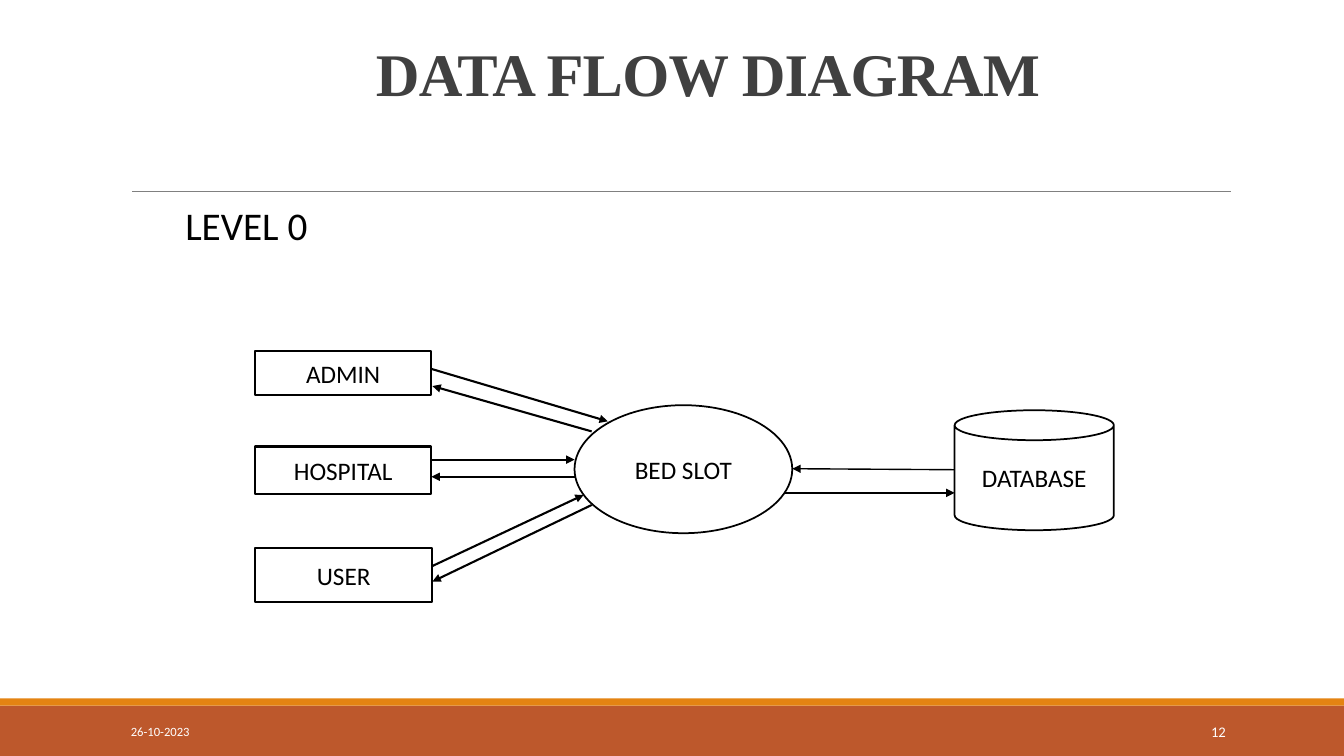
"""Build the level 0 data flow diagram slide on a grid of tenth-inch cells."""
from lxml import etree
from pptx import Presentation, util as u
from pptx.dml.color import RGBColor
from pptx.enum import shapes, text
from pptx.oxml.ns import qn

THEME = {
    "ink": "000000", "paper": "FFFFFF", "title": "404040", "rule": "808080",
    "footer": "BD582C", "stripe": "E48312",
    "body_font": "Calibri", "title_font": "Times New Roman",
    "title_size": 43.2, "level_size": 28, "node_size": 18,
    "date_size": 9, "number_size": 10.5,
}
COLUMNS, ROWS = 133.33, 75
CELL = u.Inches(0.1)
LEFT, CENTER, RIGHT = text.PP_ALIGN.LEFT, text.PP_ALIGN.CENTER, text.PP_ALIGN.RIGHT
TOP, MIDDLE, BOTTOM = text.MSO_ANCHOR.TOP, text.MSO_ANCHOR.MIDDLE, text.MSO_ANCHOR.BOTTOM


def cells(*counts):
    """Turn grid counts into lengths."""
    return [u.Emu(round(count * CELL)) for count in counts]


def write(shape, words, size, color="ink", align=LEFT, anchor=MIDDLE, font="body_font"):
    """Put one styled run into a shape and return it."""
    frame = shape.text_frame
    frame.word_wrap = True
    frame.vertical_anchor = anchor
    paragraph = frame.paragraphs[0]
    paragraph.alignment = align
    run = paragraph.add_run()
    run.text = words
    run.font.name = THEME[font]
    run.font.size = u.Pt(THEME[size])
    run.font.color.rgb = RGBColor.from_string(THEME[color])
    return run


presentation = Presentation()
presentation.slide_width, presentation.slide_height = cells(COLUMNS, ROWS)
slide = presentation.slides.add_slide(presentation.slide_layouts[6])

for top, height, color in [(70, 5, "footer"), (69.3, 0.7, "stripe")]:
    band = slide.shapes.add_shape(shapes.MSO_SHAPE.RECTANGLE, *cells(0, top, COLUMNS, height))
    band.shadow.inherit = False
    band.fill.solid()
    band.fill.fore_color.rgb = RGBColor.from_string(THEME[color])
    band.line.fill.background()

title = slide.shapes.add_textbox(*cells(9.2, 3.5, 115, 14.5))
title_run = write(title, "DATA FLOW DIAGRAM", "title_size", "title", anchor=BOTTOM, font="title_font")
title_run.font.bold = True
title_run._r.get_or_add_rPr().set("spc", "-50")
title.text_frame.paragraphs[0].line_spacing = 0.85
title.text_frame.margin_left, title.text_frame.margin_bottom = cells(28.1, 7.2)

for place, words, size, color, align, anchor in [
    ((17.4, 19.5, 66.7, 5.7), "LEVEL 0", "level_size", "ink", LEFT, TOP),
    ((12, 70.6, 27, 4), "26-10-2023", "date_size", "paper", LEFT, MIDDLE),
    ((108.3, 70.6, 14.3, 4), "12", "number_size", "paper", RIGHT, MIDDLE),
]:
    write(slide.shapes.add_textbox(*cells(*place)), words, size, color, align, anchor)

for kind, place, words, weight in [
    (shapes.MSO_SHAPE.RECTANGLE, (25.3, 34.8, 17.5, 4.4), "ADMIN", 1.5),
    (shapes.MSO_SHAPE.RECTANGLE, (25.3, 44.3, 17.5, 4.7), "HOSPITAL", 1.5),
    (shapes.MSO_SHAPE.RECTANGLE, (25.3, 54.4, 17.6, 5.3), "USER", 1.25),
    (shapes.MSO_SHAPE.OVAL, (57, 40.2, 21.6, 12.7), "BED SLOT", 1.25),
    (shapes.MSO_SHAPE.CAN, (94.7, 40.7, 15.8, 11.9), "DATABASE", 1.25),
]:
    node = slide.shapes.add_shape(kind, *cells(*place))
    node.shadow.inherit = False
    node.fill.solid()
    node.fill.fore_color.rgb = RGBColor.from_string(THEME["paper"])
    node.line.color.rgb = RGBColor.from_string(THEME["ink"])
    node.line.width = u.Pt(weight)
    write(node, words, "node_size", align=CENTER)

for ends, weight, color, has_arrow in [
    ((13.1, 19, 122.1, 19), 0.5, "rule", False),
    ((42.8, 36.6, 60.3, 41.8), 1.5, "ink", True),
    ((58.7, 42.8, 42.9, 38.3), 1.5, "ink", True),
    ((42.9, 45.6, 57, 45.6), 1.5, "ink", True),
    ((57, 47.3, 42.8, 47.3), 1.5, "ink", True),
    ((42.8, 56.2, 57.9, 49.1), 1.5, "ink", True),
    ((58.7, 50.1, 42.9, 57.7), 1.5, "ink", True),
    ((94.7, 46.6, 78.6, 46.5), 1, "ink", True),
    ((77.8, 48.9, 94.7, 48.9), 1, "ink", True),
]:
    flow = slide.shapes.add_connector(shapes.MSO_CONNECTOR.STRAIGHT, *cells(*ends))
    flow.line.color.rgb = RGBColor.from_string(THEME[color])
    flow.line.width = u.Pt(weight)
    if has_arrow:
        etree.SubElement(flow.line._get_or_add_ln(), qn("a:tailEnd"), type="triangle")
    etree.SubElement(flow._element.spPr, qn("a:effectLst"))

presentation.save("out.pptx")
